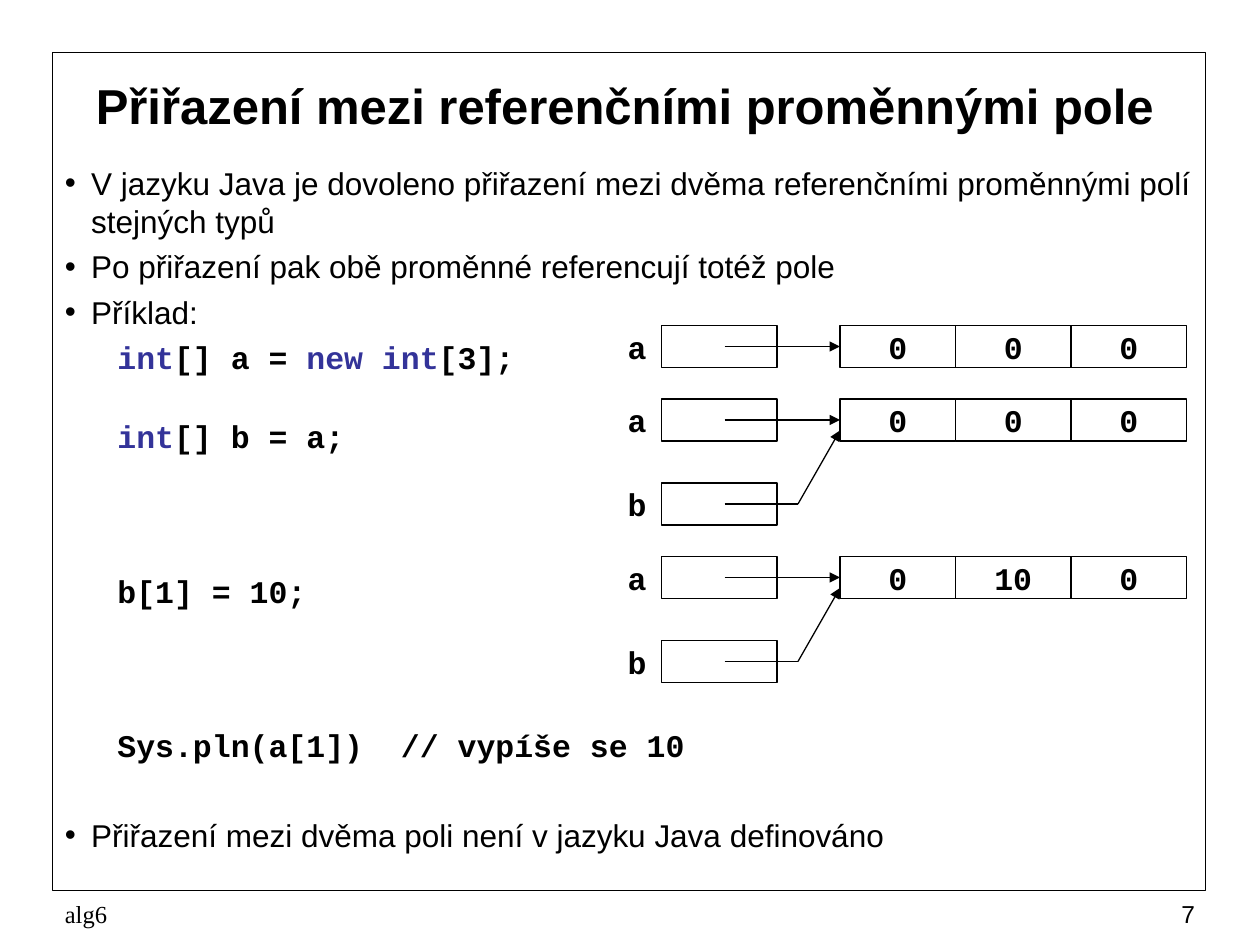
from dataclasses import dataclass
from typing import Optional

from lxml.etree import SubElement
from pptx import Presentation
from pptx.dml.color import RGBColor
from pptx.enum.shapes import MSO_CONNECTOR, MSO_SHAPE
from pptx.enum.text import MSO_ANCHOR as Anchor, MSO_AUTO_SIZE, PP_ALIGN as Align
from pptx.oxml.ns import qn
from pptx.util import Pt


@dataclass(frozen=True)
class Theme:
    black: RGBColor = RGBColor(0x00, 0x00, 0x00)
    keyword: RGBColor = RGBColor(0x33, 0x33, 0x99)
    sans: str = "Arial"
    serif: str = "Times New Roman"
    mono: str = "Courier New"
    title: int = 28
    body: int = 18
    footer: int = 14
    line: float = 0.75
    frame_line: float = 1


@dataclass(frozen=True)
class Bullet:
    text: str
    before: float = 4.5


@dataclass(frozen=True)
class Code:
    tokens: tuple[str, ...]  # keywords and plain code in turn, keyword first
    before: float


@dataclass(frozen=True)
class ArrayState:
    top: float
    values: tuple[str, ...]
    b_top: Optional[float] = None


THEME = Theme()
CELL_W, CELL_H = 66, 24
VAR_LEFT, ARRAY_LEFT = 378, 480
LABEL_LEFT, LABEL_W = 352, 24
REF_START, REF_BEND = 414, 456
INDENT, CODE_INDENT = 15, 30

CONTENT = (
    Bullet("V jazyku Java je dovoleno přiřazení mezi dvěma referenčními "
           "proměnnými polí stejných typů", 0),
    Bullet("Po přiřazení pak obě proměnné referencují totéž pole"),
    Bullet("Příklad:"),
    Code(("int", "[] a = ", "new int", "[3];"), 4),
    Code(("int", "[] b = a;"), 24),
    Code(("", "b[1] = 10;"), 66.5),
    Code(("", "Sys.pln(a[1])  // vypíše se 10"), 66.5),
    Bullet("Přiřazení mezi dvěma poli není v jazyku Java definováno", 30),
)
STATES = (
    ArrayState(186, ("0", "0", "0")),
    ArrayState(228, ("0", "0", "0"), 276),
    ArrayState(318, ("0", "10", "0"), 366),
)


def style(r, font: str, size: float, color: RGBColor = THEME.black,
          bold: bool = False) -> None:
    r.font.name, r.font.size, r.font.bold = font, Pt(size), bold
    r.font.color.rgb = color


def set_text(sp, text: str, font: str, size: float, bold: bool = False,
             align: Align = Align.CENTER, inset: Optional[float] = None) -> None:
    tf = sp.text_frame
    tf.text = text
    tf.word_wrap = True
    tf.auto_size = MSO_AUTO_SIZE.NONE
    tf.vertical_anchor = Anchor.MIDDLE
    if inset is not None:
        tf.margin_left = tf.margin_right = Pt(inset)
        tf.margin_top = tf.margin_bottom = Pt(inset)
    p = tf.paragraphs[0]
    p.alignment = align
    style(p.runs[0], font, size, bold=bold)


def add_textbox(shapes, left: float, top: float, width: float, height: float):
    return shapes.add_textbox(Pt(left), Pt(top), Pt(width), Pt(height))


def add_box(shapes, left: float, top: float, width: float = CELL_W,
            height: float = CELL_H, line: float = THEME.line):
    sp = shapes.add_shape(MSO_SHAPE.RECTANGLE, Pt(left), Pt(top), Pt(width), Pt(height))
    sp.shadow.inherit = False
    sp.fill.background()
    sp.line.color.rgb = THEME.black
    sp.line.width = Pt(line)
    return sp


def add_line(shapes, x1: float, y1: float, x2: float, y2: float, arrow: bool = False):
    cxn = shapes.add_connector(MSO_CONNECTOR.STRAIGHT, Pt(x1), Pt(y1), Pt(x2), Pt(y2))
    cxn.line.color.rgb = THEME.black
    cxn.line.width = Pt(THEME.line)
    spPr = cxn._element.spPr
    if arrow:
        SubElement(spPr.find(qn("a:ln")), qn("a:tailEnd"), type="triangle")
    SubElement(spPr, qn("a:effectLst"))
    return cxn


def add_variable(shapes, name: str, top: float) -> None:
    label = add_textbox(shapes, LABEL_LEFT, top, LABEL_W, CELL_H)
    set_text(label, name, THEME.mono, THEME.body, bold=True, inset=0)
    add_box(shapes, VAR_LEFT, top)


def add_state(shapes, state: ArrayState) -> None:
    """Draw the array, its variables and their references."""
    cells = []
    for i, value in enumerate(state.values):
        cell = add_box(shapes, ARRAY_LEFT + i * CELL_W, state.top)
        set_text(cell, value, THEME.mono, THEME.body, bold=True, inset=0)
        cells.append(cell)
    add_variable(shapes, "a", state.top)
    mid = state.top + CELL_H / 2
    ref = add_line(shapes, REF_START, mid, ARRAY_LEFT, mid, arrow=True)
    ref.end_connect(cells[0], 1)
    if state.b_top is not None:
        add_variable(shapes, "b", state.b_top)
        b_mid = state.b_top + CELL_H / 2
        add_line(shapes, REF_START, b_mid, REF_BEND, b_mid)
        add_line(shapes, REF_BEND, b_mid, ARRAY_LEFT, state.top + CELL_H * 0.75, arrow=True)


def set_indent(p, left: float, first: float, bullet: bool) -> None:
    pPr = p._p.get_or_add_pPr()
    pPr.set("marL", str(Pt(left)))
    pPr.set("indent", str(Pt(first)))
    if bullet:
        SubElement(pPr, qn("a:buFont"), typeface=THEME.sans)
        SubElement(pPr, qn("a:buChar"), char="•")
    else:
        SubElement(pPr, qn("a:buNone"))


def add_content(shapes) -> None:
    tf = add_textbox(shapes, 30, 90, 660, 420).text_frame
    tf.word_wrap = True
    for i, item in enumerate(CONTENT):
        p = tf.add_paragraph() if i else tf.paragraphs[0]
        p.space_before = Pt(item.before)
        if isinstance(item, Bullet):
            set_indent(p, INDENT, -INDENT, bullet=True)
            p.text = item.text
            style(p.runs[0], THEME.sans, THEME.body)
            continue
        set_indent(p, CODE_INDENT, 0, bullet=False)
        for k, token in enumerate(item.tokens):
            if token:
                r = p.add_run()
                r.text = token
                color = THEME.black if k % 2 else THEME.keyword
                style(r, THEME.mono, THEME.body, color, bold=True)


def main() -> None:
    prs = Presentation()
    prs.slide_width, prs.slide_height = Pt(720), Pt(540)
    s = prs.slides.add_slide(prs.slide_layouts[5])
    shapes = s.shapes
    add_box(shapes, 30, 30, 659, 479, THEME.frame_line)

    title = shapes.title
    title.left, title.top, title.width, title.height = Pt(36), Pt(36), Pt(642), Pt(48)
    set_text(title, "Přiřazení mezi referenčními proměnnými pole",
             THEME.sans, THEME.title, bold=True)

    add_content(shapes)
    for state in STATES:
        add_state(shapes, state)

    footer = add_textbox(shapes, 30, 510, 228, 24)
    set_text(footer, "alg6", THEME.serif, THEME.footer, align=Align.LEFT)
    number = add_textbox(shapes, 540, 510, 150, 24)
    set_text(number, "7", THEME.sans, THEME.footer, align=Align.RIGHT)
    prs.save("out.pptx")


if __name__ == "__main__":
    main()
